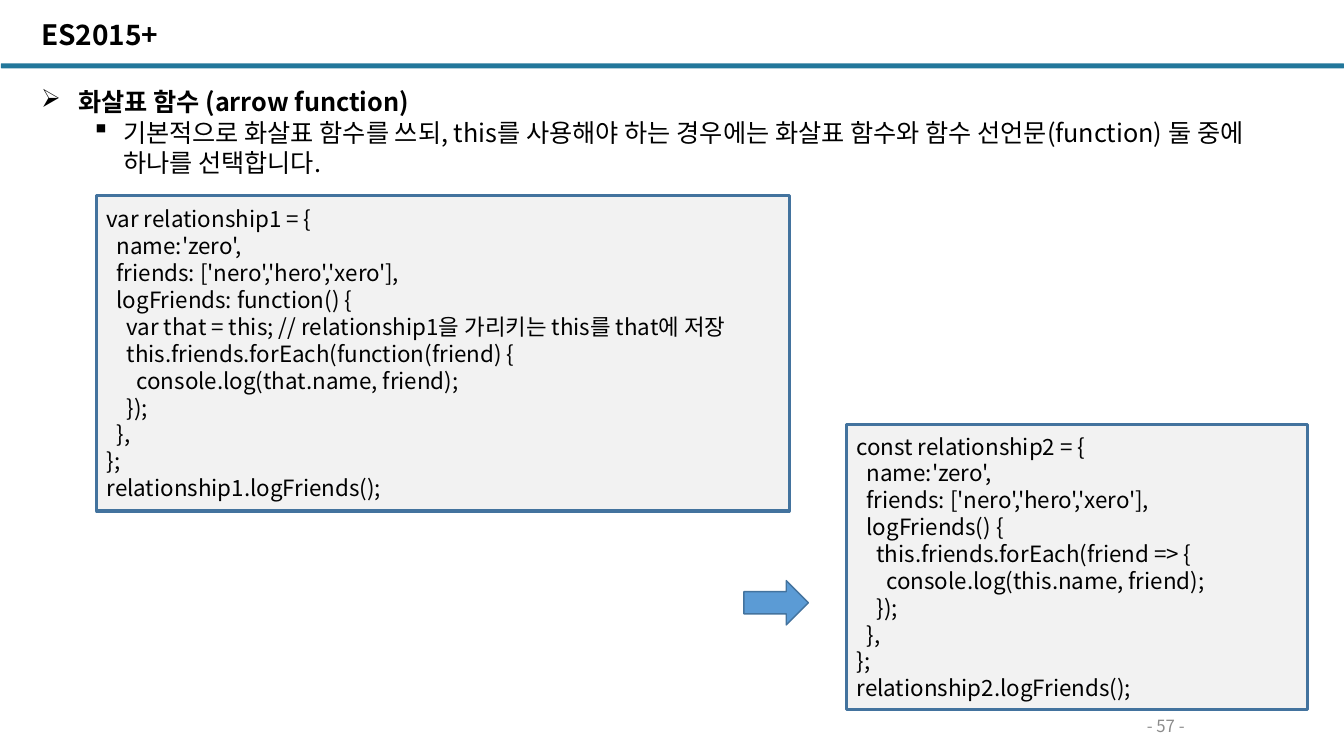
import pptx
import pptx.dml.color
import pptx.enum.shapes
import pptx.enum.text
import pptx.oxml
import pptx.oxml.ns
import pptx.util

Pt = pptx.util.Pt
SHAPE = pptx.enum.shapes.MSO_SHAPE
ANCHOR = pptx.enum.text.MSO_ANCHOR
ALIGN = pptx.enum.text.PP_ALIGN

FONT = "Noto Sans CJK KR"
BLACK, GRAY = "000000", "8C8C8C"
TEAL, BLUE, EDGE, PANEL = "22779B", "5B9BD5", "43739E", "F2F2F2"

OLD_CODE = """var relationship1 = {
  name:'zero',
  friends: ['nero','hero','xero'],
  logFriends: function() {
    var that = this; // relationship1을 가리키는 this를 that에 저장
    this.friends.forEach(function(friend) {
      console.log(that.name, friend);
    });
  },
};
relationship1.logFriends();"""

NEW_CODE = """const relationship2 = {
  name:'zero',
  friends: ['nero','hero','xero'],
  logFriends() {
    this.friends.forEach(friend => {
      console.log(this.name, friend);
    });
  },
};
relationship2.logFriends();"""


def rgb(value):
    return pptx.dml.color.RGBColor.from_string(value)


def add_xml(parent, tag, **attributes):
    element = pptx.oxml.parse_xml(f"<a:{tag} {pptx.oxml.ns.nsdecls('a')}/>")
    for name, value in attributes.items():
        element.set(name, str(value))
    parent.append(element)


def set_font(p, size, color=BLACK, bold=False):
    p.font.size = Pt(size)
    p.font.bold = bold
    p.font.color.rgb = rgb(color)
    p.font.name = FONT
    # Hangul uses the East Asian typeface
    add_xml(p.font._element, "ea", typeface=FONT)


def add_text(slide, box, anchor=ANCHOR.TOP):
    tf = slide.shapes.add_textbox(*map(Pt, box)).text_frame
    tf.word_wrap = True
    tf.vertical_anchor = anchor
    return tf


def add_bullet(p, text, char, margin, indent, bold=False):
    p.text = text
    pPr = p._p.get_or_add_pPr()
    pPr.set("marL", str(Pt(margin)))
    pPr.set("indent", str(Pt(-indent)))
    add_xml(pPr, "buChar", char=char)
    set_font(p, 18, bold=bold)


def add_shape(slide, kind, box, fill, line=None, width=1):
    sp = slide.shapes.add_shape(kind, *map(Pt, box))
    sp.shadow.inherit = False
    sp.fill.solid()
    sp.fill.fore_color.rgb = rgb(fill)
    if line:
        sp.line.color.rgb = rgb(line)
        sp.line.width = Pt(width)
    else:
        sp.line.fill.background()
    return sp


def add_code(slide, box, code):
    tf = add_shape(slide, SHAPE.RECTANGLE, box, PANEL, EDGE, 2.25).text_frame
    tf.word_wrap = True
    tf.vertical_anchor = ANCHOR.MIDDLE
    tf.text = code
    for p in tf.paragraphs:
        p.alignment = ALIGN.LEFT
        set_font(p, 16)


def main():
    prs = pptx.Presentation()
    prs.slide_width, prs.slide_height = Pt(960), Pt(540)
    slide = prs.slides.add_slide(prs.slide_layouts[6])

    # Rule under the title
    rule = add_shape(slide, SHAPE.ROUNDED_RECTANGLE, (0.7, 45.2, 959.3, 3.6), TEAL)
    rule.adjustments[0] = 0.13

    # Page number
    p = add_text(slide, (720.7, 509.8, 224, 16.6), ANCHOR.MIDDLE).paragraphs[0]
    p.text = "- 57 -"
    p.alignment = ALIGN.CENTER
    set_font(p, 12, GRAY)

    # Topic and explanation
    tf = add_text(slide, (22.3, 58.3, 888.5, 116.6))
    add_bullet(tf.paragraphs[0], "화살표 함수 (arrow function)", "➢", 26.5, 26.5, True)
    add_bullet(
        tf.add_paragraph(),
        "기본적으로 화살표 함수를 쓰되, this를 사용해야 하는 경우에는 "
        "화살표 함수와 함수 선언문(function) 둘 중에 하나를 선택합니다.",
        "▪", 58.5, 22.5)

    # Title
    p = add_text(slide, (22.3, 11.5, 568.8, 33.8)).paragraphs[0]
    p.text = "ES2015+"
    p.line_spacing = 0.9
    set_font(p, 20, bold=True)

    # Code before and after, joined by an arrow
    add_code(slide, (69.1, 139.7, 494.6, 225.4), OLD_CODE)
    add_code(slide, (604.8, 303.1, 329, 203.8), NEW_CODE)
    add_shape(slide, SHAPE.RIGHT_ARROW, (531.4, 414.7, 46.1, 31.7), BLUE, EDGE)

    prs.save("out.pptx")


if __name__ == "__main__":
    main()
